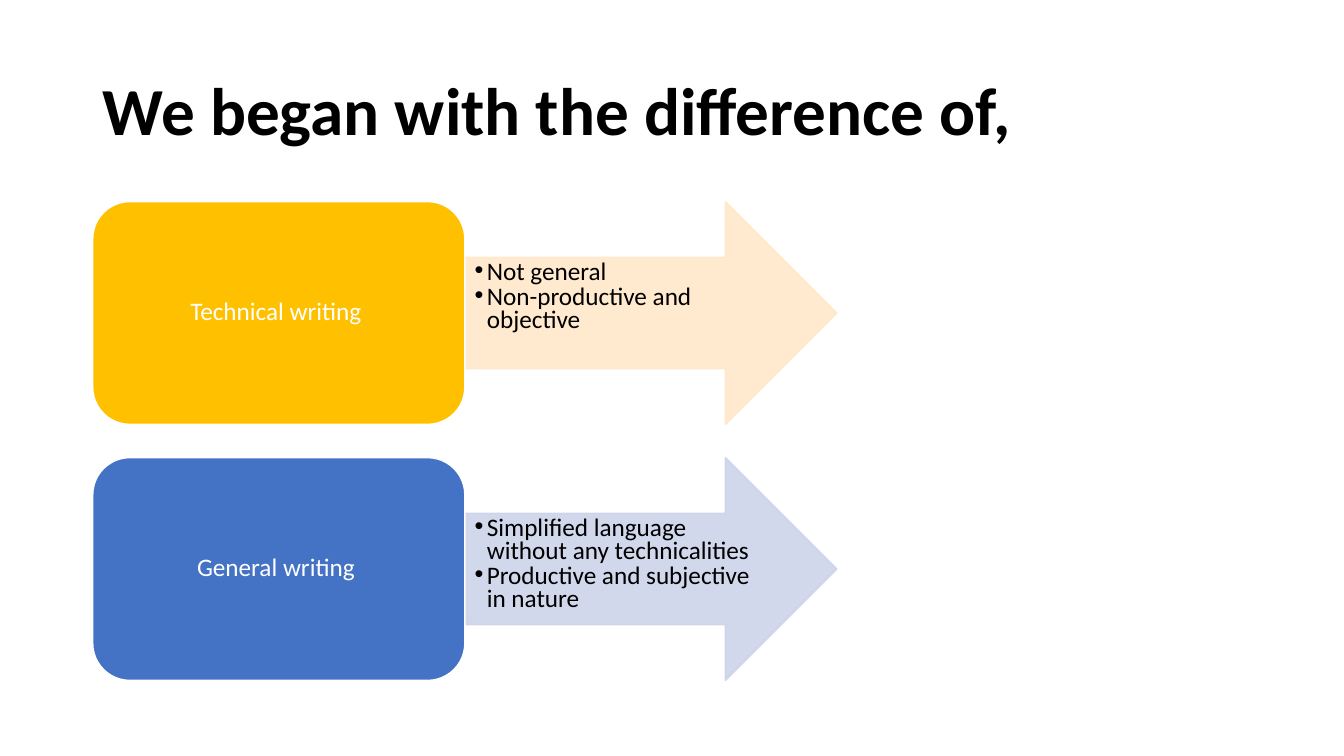
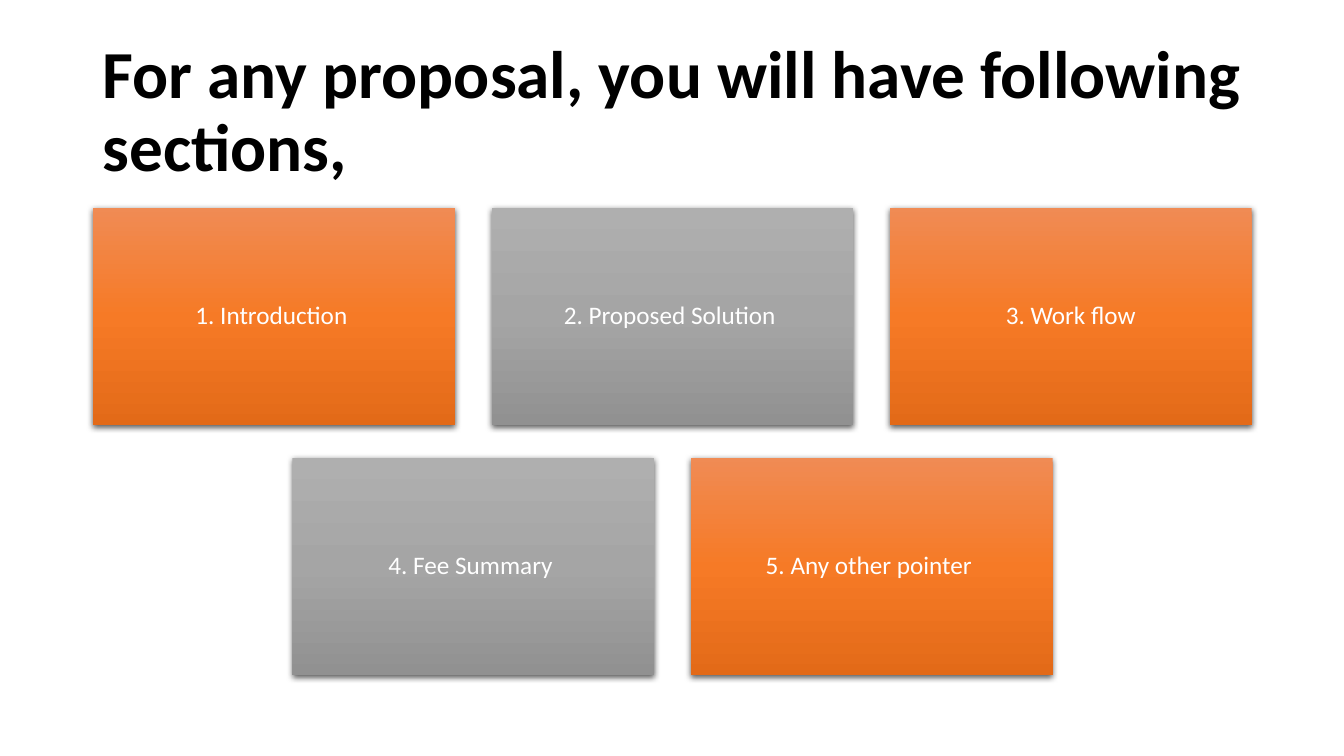
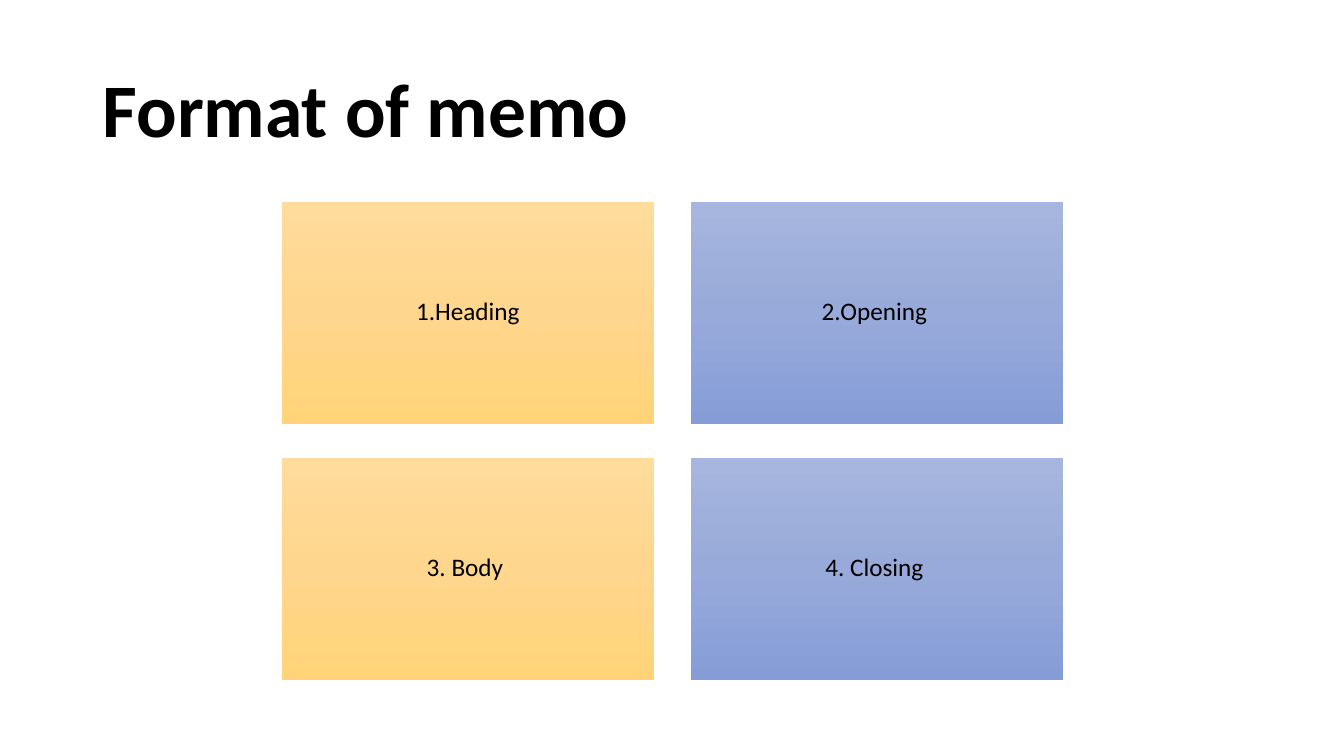
from pptx import Presentation
from pptx.dml.color import RGBColor
from pptx.enum.shapes import MSO_SHAPE
from pptx.enum.text import MSO_ANCHOR, PP_ALIGN
from pptx.oxml import parse_xml
from pptx.oxml.ns import qn
from pptx.util import Inches, Pt
from lxml import etree

RECT = MSO_SHAPE.RECTANGLE
ROUND = MSO_SHAPE.ROUNDED_RECTANGLE
ARROW = MSO_SHAPE.RIGHT_ARROW
MIDDLE, TOP = MSO_ANCHOR.MIDDLE, MSO_ANCHOR.TOP
LEFT, CENTER = PP_ALIGN.LEFT, PP_ALIGN.CENTER

FONT = "Calibri"
BLACK, WHITE = "000000", "FFFFFF"
ORANGE = ("F08B54", "F67A26", "E36A18")
GRAY = ("AFAFAF", "A5A5A5", "919191")
YELLOW = ("FFDC9B", "FFD68D", "FFD478")
BLUE = ("A6B6DE", "98AAD9", "859CD7")
TITLE = (0.92, 0.4, 11.5, 1.45)
NS = 'xmlns:a="http://schemas.openxmlformats.org/drawingml/2006/main"'


def color(code):
    return RGBColor.from_string(code)


def inches(box):
    return [Inches(value) for value in box]


def write(shape, lines, size, code, space, align=LEFT, anchor=MIDDLE, bold=False, bullet=False):
    frame = shape.text_frame
    frame.word_wrap = True
    frame.vertical_anchor = anchor
    frame.text = "\n".join(lines)
    for index, para in enumerate(frame.paragraphs):
        if bullet:
            add_bullet(para)
            if index:
                para.space_before = Pt(1.8)
        para.alignment = align
        para.line_spacing = space
        for run in para.runs:
            run.font.name = FONT
            run.font.size = Pt(size)
            run.font.bold = bold
            run.font.color.rgb = color(code)


def add_bullet(para):
    props = para._p.get_or_add_pPr()
    props.set("marL", str(Inches(0.12)))
    props.set("indent", str(Inches(-0.12)))
    tint = etree.SubElement(props, qn("a:buClr"))
    etree.SubElement(tint, qn("a:srgbClr"), val=BLACK)
    etree.SubElement(props, qn("a:buFont"), typeface="Arial")
    etree.SubElement(props, qn("a:buChar"), char="•")


def add_shape(slide, kind, box):
    shape = slide.shapes.add_shape(kind, *inches(box))
    shape.shadow.inherit = False
    shape.line.fill.background()
    return shape


def paint(shape, fill, line, alpha=100):
    shape.fill.solid()
    shape.fill.fore_color.rgb = color(fill)
    shape.line.color.rgb = color(line)
    shape.line.width = Pt(1)
    if alpha < 100:
        for tint in shape.element.spPr.iter(qn("a:srgbClr")):
            etree.SubElement(tint, qn("a:alpha"), val=str(alpha * 1000))


def blend(shape, codes):
    stops = "".join(
        f'<a:gs pos="{place}"><a:srgbClr val="{code}"/></a:gs>'
        for place, code in zip((0, 50000, 100000), codes))
    grad = parse_xml(f'<a:gradFill {NS} rotWithShape="1"><a:gsLst>{stops}</a:gsLst>'
                     '<a:lin ang="5400000" scaled="0"/></a:gradFill>')
    shape.element.spPr.find(qn("a:prstGeom")).addnext(grad)


def cast(shape):
    effects = shape.element.spPr.find(qn("a:effectLst"))
    effects.append(parse_xml(
        f'<a:outerShdw {NS} blurRad="{Pt(4.5)}" dist="{Pt(1.5)}" dir="5400000" algn="ctr" '
        f'rotWithShape="0"><a:srgbClr val="{BLACK}"><a:alpha val="63000"/></a:srgbClr></a:outerShdw>'))


def add_slide(deck, title, size=48):
    slide = deck.slides.add_slide(deck.slide_layouts[6])
    write(slide.shapes.add_textbox(*inches(TITLE)), [title], size, BLACK, 0.9, bold=True)
    return slide


def add_pair(slide, box, label, points, fill, pale):
    left, top, width, height = box
    half = width / 2
    arrow = add_shape(slide, ARROW, (left + half, top, half, height))
    paint(arrow, pale, pale, 90)
    write(arrow, points, 18, BLACK, 0.75, anchor=TOP, bullet=True)
    block = add_shape(slide, ROUND, (left, top, half, height))
    paint(block, fill, WHITE)
    write(block, [label], 18, WHITE, 0.85, CENTER)


def add_cards(slide, box, rows, size, gaps, fills, ink, shadow=False):
    left, top, width = box
    wide, high = size
    across, down = gaps
    count = 0
    for row, labels in enumerate(rows):
        span = len(labels) * (wide + across) - across
        start = left + (width - span) / 2
        for col, label in enumerate(labels):
            spot = (start + col * (wide + across), top + row * (high + down), wide, high)
            card = add_shape(slide, RECT, spot)
            blend(card, fills[count % 2])
            if shadow:
                cast(card)
            write(card, [label], 18, ink, 0.85, CENTER)
            count += 1


def main():
    deck = Presentation()
    deck.slide_width, deck.slide_height = Inches(13.33), Inches(7.5)

    slide = add_slide(deck, "We began with the difference of,")
    pairs = [
        ("Technical writing ", ["Not general", "Non-productive and objective"],
         "FFC000", "FFE8CA"),
        ("General writing ", ["Simplified language without any technicalities",
                              "Productive and subjective in nature"],
         "4472C4", "CDD4EA"),
    ]
    for row, pair in enumerate(pairs):
        add_pair(slide, (0.92, 2 + row * 2.54, 7.38, 2.21), *pair)

    slide = add_slide(deck, "For any proposal, you will have following sections,")
    rows = [["1. Introduction ", "2. Proposed Solution ", "3. Work flow"],
            ["4. Fee Summary ", "5. Any other pointer "]]
    add_cards(slide, (0.92, 2.06, 11.5), rows, (3.59, 2.16), (0.36, 0.32),
              (ORANGE, GRAY), WHITE, shadow=True)

    slide = add_slide(deck, "Format of memo", 54)
    rows = [["1.Heading", "2.Opening "], ["3. Body ", "4. Closing "]]
    add_cards(slide, (0.92, 2, 11.5), rows, (3.69, 2.21), (0.37, 0.33),
              (YELLOW, BLUE), BLACK)

    deck.save("out.pptx")


if __name__ == "__main__":
    main()
